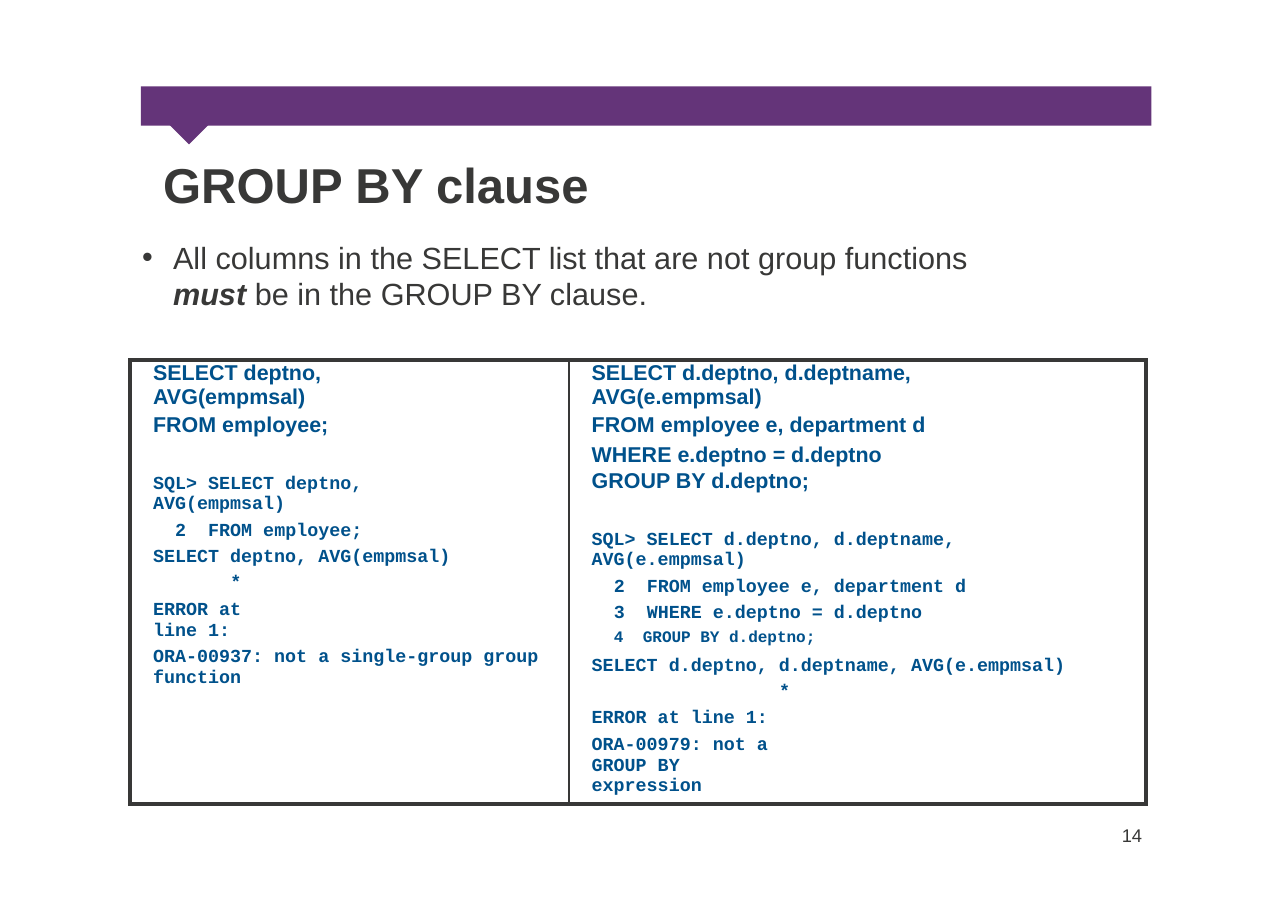
import dataclasses

import pptx
import pptx.dml.color
import pptx.enum.shapes
import pptx.oxml
import pptx.oxml.ns
import pptx.util

Cm = pptx.util.Cm
Pt = pptx.util.Pt
PURPLE = pptx.dml.color.RGBColor(0x64, 0x34, 0x79)
CHARCOAL = pptx.dml.color.RGBColor(0x38, 0x38, 0x37)
BLUE = pptx.dml.color.RGBColor(0x00, 0x51, 0x8B)
SANS, MONO = "Arial", "Courier New"
OUTER_BORDER, INNER_BORDER = 2.38, 1.06


@dataclasses.dataclass
class Line:
    """One paragraph of SQL; lengths are in centimetres, sizes in points."""
    text: str
    font: str = MONO
    size: float = 12
    spacing: float = 13.6
    before: float = 3.6
    indent: float = 0.53
    hanging: float = 0


def query(text, before=2.2):
    """Return a line of the query as it is typed in."""
    return Line(text, SANS, 14, 16.1, before)


def numbered(text, size=12, before=3.6, hanging=0.76):
    """Return a numbered continuation line of the console."""
    return Line(text, size=size, before=before, indent=1.04, hanging=hanging)


SINGLE_TABLE = [
    query("SELECT deptno,\nAVG(empmsal)", 0),
    query("FROM employee;"),
    Line("SQL> SELECT deptno,\nAVG(empmsal)", before=22.7),
    numbered("2\tFROM employee;"),
    Line("SELECT deptno, AVG(empmsal)"),
    Line("*", indent=2.31),
    Line("ERROR at\nline 1:"),
    Line("ORA-00937: not a single-group group\nfunction"),
]
JOINED_TABLES = [
    query("SELECT d.deptno, d.deptname,\nAVG(e.empmsal)", 0),
    query("FROM employee e, department d"),
    query("WHERE e.deptno = d.deptno", 3),
    query("GROUP BY d.deptno;", 0.8),
    Line("SQL> SELECT d.deptno, d.deptname,\nAVG(e.empmsal)", before=23.3),
    numbered("2\tFROM employee e, department d"),
    numbered("3\tWHERE e.deptno = d.deptno"),
    numbered("4\tGROUP BY d.deptno;", 10.5, 1.8, 0.67),
    Line("SELECT d.deptno, d.deptname, AVG(e.empmsal)", before=5.4),
    Line("*", indent=4.85),
    Line("ERROR at line 1:"),
    Line("ORA-00979: not a\nGROUP BY\nexpression"),
]


def add_run(paragraph, text, font, size, color, bold=False, italic=False):
    """Append one formatted run."""
    run = paragraph.add_run()
    run.text = text
    run.font.name = font
    run.font.size = Pt(size)
    run.font.color.rgb = color
    run.font.bold = bold
    run.font.italic = italic


def set_indent(paragraph, left, hanging):
    """Set the left margin of the text and how far its first line hangs out."""
    properties = paragraph._p.get_or_add_pPr()
    properties.set("marL", str(Cm(left + hanging)))
    properties.set("indent", str(-Cm(hanging)))
    return properties


def add_text_frame(slide, left, top, width, height):
    """Add a text box without margins and return its text frame."""
    frame = slide.shapes.add_textbox(Cm(left), Cm(top), Cm(width), Cm(height)).text_frame
    frame.word_wrap = True
    frame.margin_left = frame.margin_right = frame.margin_top = frame.margin_bottom = 0
    return frame


def add_banner(slide, left, top, width, height):
    """Draw the purple bar with the pointer below it."""
    kinds = pptx.enum.shapes.MSO_SHAPE
    pointer = 1.14
    for kind, box in (
        (kinds.RECTANGLE, (left, top, width, height)),
        (kinds.DIAMOND, (left + 0.54, top + 0.2, pointer, pointer)),
    ):
        shape = slide.shapes.add_shape(kind, *map(Cm, box))
        shape.shadow.inherit = False
        shape.fill.solid()
        shape.fill.fore_color.rgb = PURPLE
        shape.line.fill.background()


def add_title(slide, left, top, width, height):
    """Write the slide title."""
    paragraph = add_text_frame(slide, left, top, width, height).paragraphs[0]
    add_run(paragraph, "GROUP BY clause", SANS, 32, CHARCOAL, bold=True)


def add_rule(slide, left, top, width, height):
    """Write the bulleted rule about grouping."""
    paragraph = add_text_frame(slide, left, top, width, height).paragraphs[0]
    paragraph.line_spacing = Pt(23.5)
    properties = set_indent(paragraph, 0, 0.71)
    for bullet in ('buFont {} typeface="Arial"', 'buChar {} char="\u2022"'):
        tag = bullet.format(pptx.oxml.ns.nsdecls("a"))
        properties.append(pptx.oxml.parse_xml(f"<a:{tag}/>"))
    add_run(paragraph, "All columns in the SELECT list that are not group functions",
            SANS, 20, CHARCOAL)
    paragraph.add_line_break()
    add_run(paragraph, "must", SANS, 20, CHARCOAL, bold=True, italic=True)
    add_run(paragraph, " be in the GROUP BY clause.", SANS, 20, CHARCOAL)


def add_border(slide, start, end, weight):
    """Draw one straight border between two points."""
    connector = slide.shapes.add_connector(
        pptx.enum.shapes.MSO_CONNECTOR.STRAIGHT, *map(Cm, start + end))
    connector.line.color.rgb = CHARCOAL
    connector.line.width = Pt(weight)
    connector._element.spPr.append(
        pptx.oxml.parse_xml(f'<a:effectLst {pptx.oxml.ns.nsdecls("a")}/>'))


def add_example(slide, lines, left, top, width, height):
    """Write a query and its console output."""
    frame = add_text_frame(slide, left, top, width, height)
    for number, line in enumerate(lines):
        paragraph = frame.add_paragraph() if number else frame.paragraphs[0]
        paragraph.line_spacing = Pt(line.spacing)
        paragraph.space_before = Pt(line.before)
        set_indent(paragraph, line.indent, line.hanging)
        for row, text in enumerate(line.text.split("\n")):
            if row:
                paragraph.add_line_break()
            add_run(paragraph, text, line.font, line.size, BLUE, bold=True)


def add_examples(slide, left, top, width, height):
    """Place the two failing queries side by side in a ruled frame."""
    middle, right, bottom = left + 10.11, left + width, top + height
    overhang = 0.04
    for x, weight in ((middle, INNER_BORDER), (left, OUTER_BORDER), (right, OUTER_BORDER)):
        add_border(slide, (x, top - overhang), (x, bottom + overhang), weight)
    for y in (top, bottom):
        add_border(slide, (left - overhang, y), (right + overhang, y), OUTER_BORDER)
    add_example(slide, SINGLE_TABLE, left, top, middle - left, height)
    add_example(slide, JOINED_TABLES, middle, top, right - middle, height)


def add_page_number(slide, left, top, width, height):
    """Write the page number."""
    paragraph = add_text_frame(slide, left, top, width, height).paragraphs[0]
    add_run(paragraph, "14", SANS, 12, CHARCOAL)


presentation = pptx.Presentation()
presentation.slide_width = Cm(29.69)
presentation.slide_height = Cm(20.98)
slide = presentation.slides.add_slide(presentation.slide_layouts[6])
add_banner(slide, 3.25, 1.99, 23.29, 0.91)
add_title(slide, 3.76, 3.56, 12.5, 1.3)
add_rule(slide, 3.28, 5.52, 20, 1.7)
add_examples(slide, 3, 8.3, 23.42, 10.24)
add_page_number(slide, 25.86, 19, 0.61, 0.5)
presentation.save("out.pptx")
